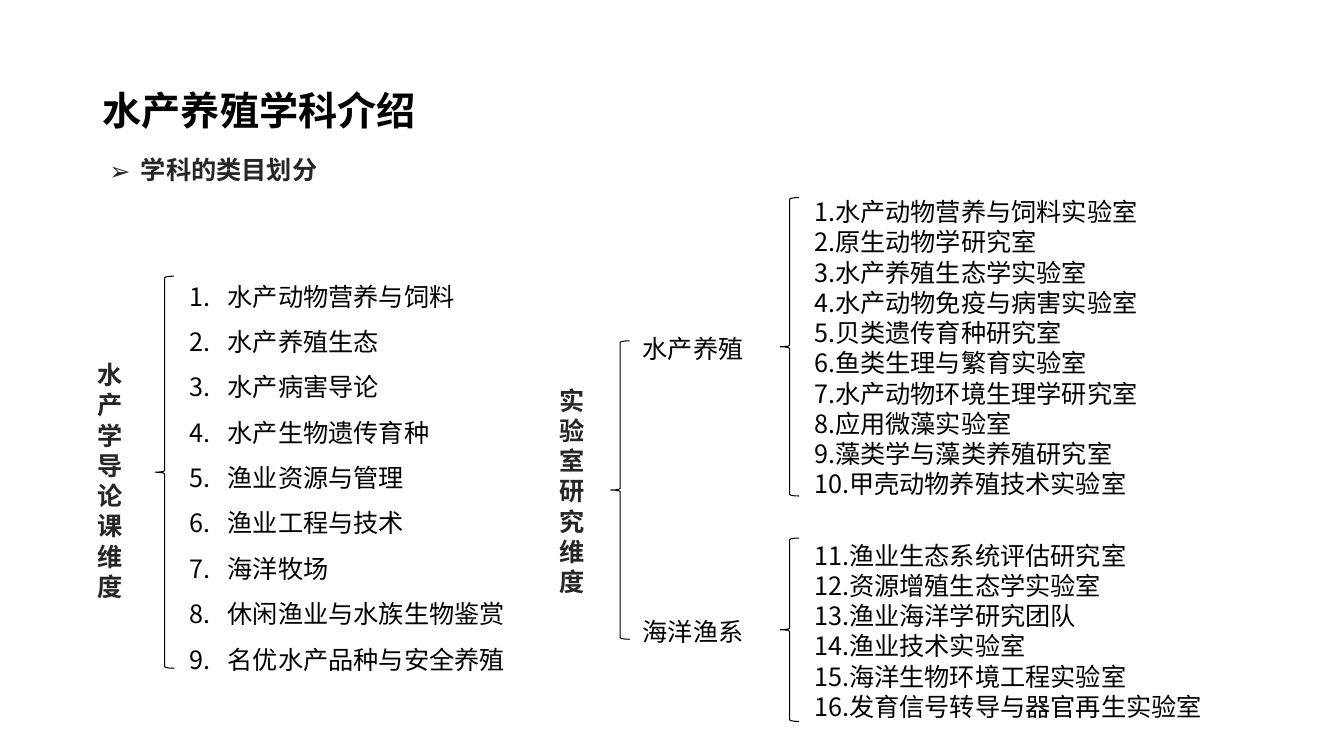
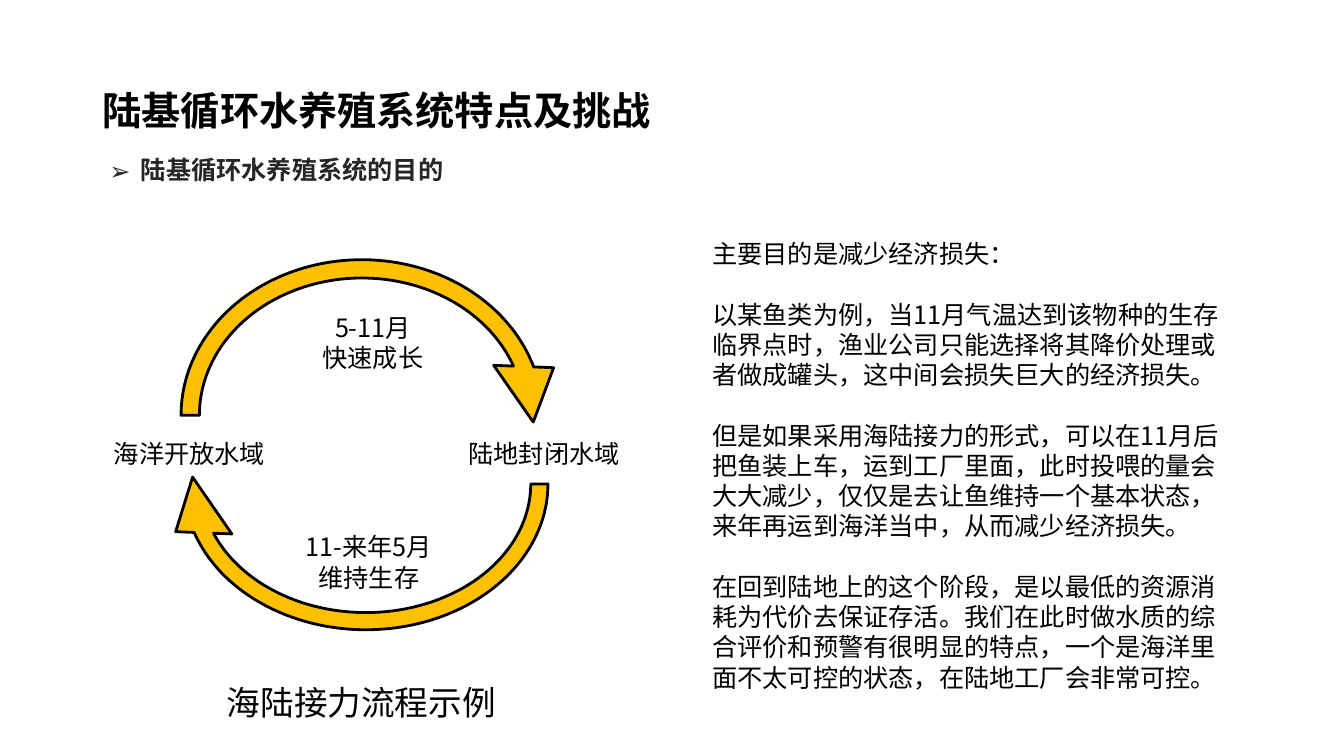
from pptx import Presentation
from pptx.dml.color import RGBColor as RGB
from pptx.enum.shapes import MSO_SHAPE as SHAPE
from pptx.enum.text import PP_ALIGN as ALIGN
from pptx.oxml.ns import qn
from pptx.util import Cm, Pt
from lxml import etree

COLORS = {"black": "000000", "dark": "262626", "arrow": "FFC000"}
FONT = "Noto Sans CJK SC"


def add_text(s, x, y, w, h, lines, size=18, color="black", bold=False,
             align=ALIGN.LEFT, wrap=True, pitch=1.2, gap=0, bullet=None, indent=0):
    """Add a text box with one paragraph per line; bullet is (tag, attributes)."""
    tf = s.shapes.add_textbox(Cm(x), Cm(y), Cm(w), Cm(h)).text_frame
    tf.word_wrap = wrap
    tf.margin_top = Cm(0.17)
    for i, line in enumerate(lines):
        p = tf.add_paragraph() if i else tf.paragraphs[0]
        if bullet:
            tag, attrs = bullet
            pPr = p._p.get_or_add_pPr()
            pPr.set("marL", str(Cm(indent)))
            pPr.set("indent", str(-Cm(indent)))
            etree.SubElement(pPr, qn("a:buFont"), typeface=FONT)
            etree.SubElement(pPr, qn(tag), attrs)
        p.alignment = align
        p.line_spacing = Pt(size * pitch)
        if i and gap:
            p.space_before = Pt(gap)
        r = p.add_run()
        r.text = line
        r.font.size, r.font.bold, r.font.name = Pt(size), bold, FONT
        r.font.color.rgb = RGB.from_string(COLORS[color])
        etree.SubElement(r._r.get_or_add_rPr(), qn("a:ea"), typeface=FONT)


def add_shape(s, kind, x, y, w, h, line, fill=None):
    """Add an outlined preset shape, filled only when a colour is given."""
    sp = s.shapes.add_shape(kind, Cm(x), Cm(y), Cm(w), Cm(h))
    sp.shadow.inherit = False
    sp.line.color.rgb = RGB.from_string(COLORS["black"])
    sp.line.width = Pt(line)
    if fill:
        sp.fill.solid()
        sp.fill.fore_color.rgb = RGB.from_string(COLORS[fill])
    else:
        sp.fill.background()
    return sp


prs = Presentation()
prs.slide_width, prs.slide_height = Cm(33.87), Cm(19.05)

# Shared heading and subheading
slides = []
for title, subtitle in [
    ("水产养殖学科介绍", "学科的类目划分"),
    ("陆基循环水养殖系统特点及挑战", "陆基循环水养殖系统的目的"),
]:
    s = prs.slides.add_slide(prs.slide_layouts[6])
    add_text(s, 2.34, 2, 18.72, 1.37, [title], size=28, bold=True)
    add_text(s, 2.51, 3.73, 14.17, 1.02, [subtitle], color="dark", bold=True,
             bullet=("a:buChar", {"char": "➢"}), indent=0.79)
    slides.append(s)
outline, cycle = slides

# Slide 1: course topics
add_text(outline, 4.52, 6.53, 9.04, 10.52, [
    "水产动物营养与饲料", "水产养殖生态", "水产病害导论", "水产生物遗传育种",
    "渔业资源与管理", "渔业工程与技术", "海洋牧场", "休闲渔业与水族生物鉴赏",
    "名优水产品种与安全养殖",
], pitch=1.8, bullet=("a:buAutoNum", {"type": "arabicPeriod"}), indent=0.97)

# Slide 1: laboratories, numbered on across both departments
number = 1
for y, w, h, labs in [
    (4.78, 9.04, 7.95, [
        "水产动物营养与饲料实验室", "原生动物学研究室", "水产养殖生态学实验室",
        "水产动物免疫与病害实验室", "贝类遗传育种研究室", "鱼类生理与繁育实验室",
        "水产动物环境生理学研究室", "应用微藻实验室", "藻类学与藻类养殖研究室",
        "甲壳动物养殖技术实验室"]),
    (13.44, 10.77, 4.88, [
        "渔业生态系统评估研究室", "资源增殖生态学实验室", "渔业海洋学研究团队",
        "渔业技术实验室", "海洋生物环境工程实验室", "发育信号转导与器官再生实验室"]),
]:
    add_text(outline, 20.27, y, w, h,
             [f"{n}.{lab}" for n, lab in enumerate(labs, number)])
    number += len(labs)

# Slide 1: departments
for y, name in [(8.23, "水产养殖"), (15.37, "海洋渔系")]:
    add_text(outline, 15.95, y, 3.07, 1.02, [name], wrap=False)

# Slide 1: dimensions, one character per line
for x, y, w, h, name in [(2.21, 8.89, 1.37, 6.43, "水产学导论课维度"),
                         (13.84, 9.53, 1.22, 5.64, "实验室研究维度")]:
    add_text(outline, x, y, w, h, [name], color="dark", bold=True)

# Slide 1: braces
for x, y, h in [(3.91, 6.96, 9.88), (15.39, 8.59, 7.52),
                (19.66, 4.98, 7.52), (19.66, 13.56, 4.62)]:
    add_shape(outline, SHAPE.LEFT_BRACE, x, y, 0.48, h, line=0.75)

# Slide 2: cycle arrows
for x, y, h, turn in [(4.04, 6.02, 8.89, 0), (4.14, 8.03, 8.33, 180)]:
    sp = add_shape(cycle, SHAPE.CIRCULAR_ARROW, x, y, 10.16, h, line=2, fill="arrow")
    sp.rotation = turn
    for i, value in enumerate([0.052, 11.423, 205.945, 108, 0.085]):
        sp.adjustments[i] = value

# Slide 2: waters at both ends of the cycle
for x, name in [(2.62, "海洋开放水域"), (11.56, "陆地封闭水域")]:
    add_text(cycle, x, 10.87, 4.62, 1.02, [name])

# Slide 2: phases and caption
for x, y, lines in [(7.09, 7.7, ["5-11月", "快速成长"]),
                    (6.99, 13.23, ["11-来年5月", "维持生存"])]:
    add_text(cycle, x, y, 4.62, 1.8, lines, align=ALIGN.CENTER)
add_text(cycle, 5.03, 17.02, 8.15, 1.27, ["海陆接力流程示例"], size=24, align=ALIGN.CENTER)

# Slide 2: explanation
add_text(cycle, 17.7, 5.84, 13.61, 11.79, [
    "主要目的是减少经济损失：",
    "以某鱼类为例，当11月气温达到该物种的生存临界点时，渔业公司只能选择将其降价处理"
    "或者做成罐头，这中间会损失巨大的经济损失。",
    "但是如果采用海陆接力的形式，可以在11月后把鱼装上车，运到工厂里面，此时投喂的量会"
    "大大减少，仅仅是去让鱼维持一个基本状态，来年再运到海洋当中，从而减少经济损失。",
    "在回到陆地上的这个阶段，是以最低的资源消耗为代价去保证存活。我们在此时做水质的综合"
    "评价和预警有很明显的特点，一个是海洋里面不太可控的状态，在陆地工厂会非常可控。",
], gap=21.6)

prs.save("out.pptx")
